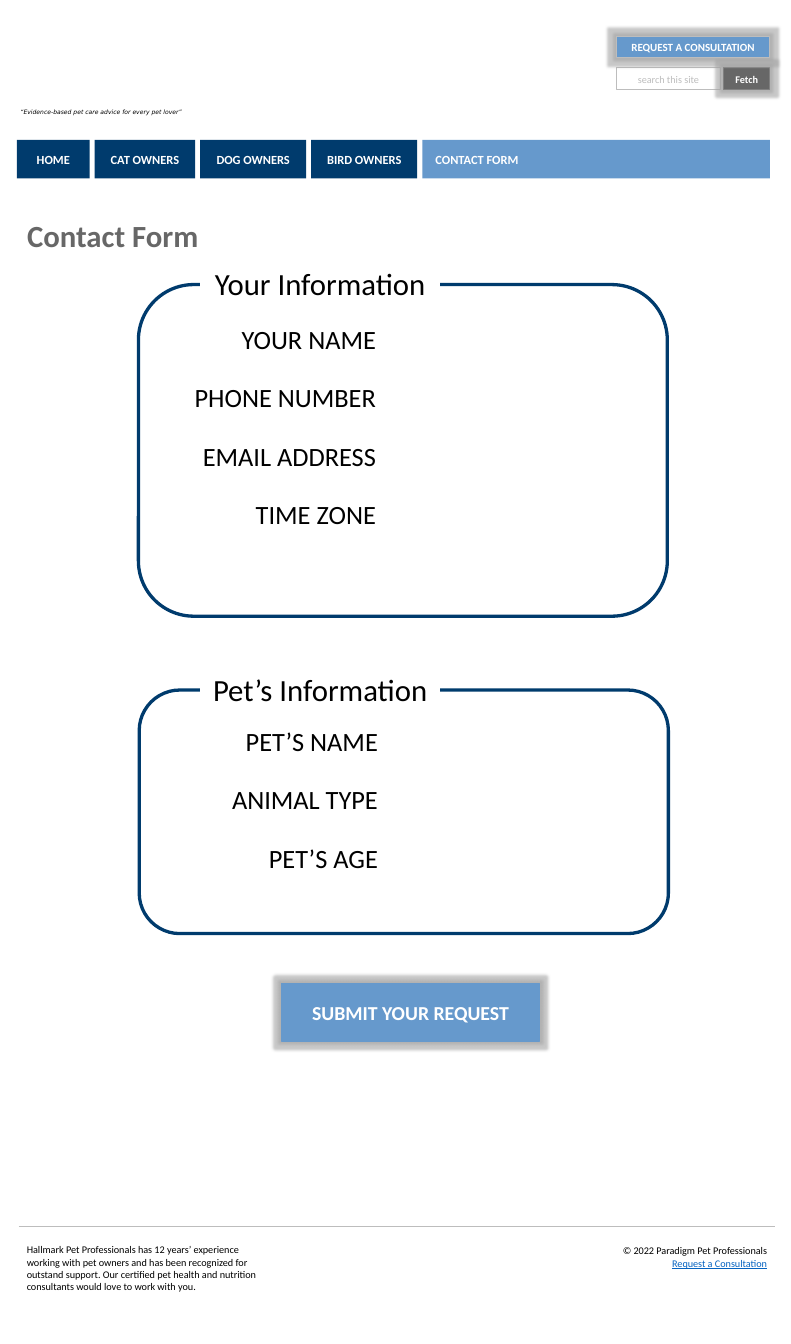
from lxml.etree import SubElement
from pptx import Presentation
from pptx.dml.color import RGBColor
from pptx.enum.shapes import MSO_CONNECTOR, MSO_SHAPE
from pptx.enum.text import MSO_ANCHOR, PP_ALIGN
from pptx.oxml.ns import qn
from pptx.util import Pt

NAVY, BLUE, GREY, SILVER = "003B6D", "6699CC", "676767", "BDBDBD"
WHITE, BLACK, LINK = "FFFFFF", "000000", "0563C1"
LEFT, CENTER, RIGHT = PP_ALIGN.LEFT, PP_ALIGN.CENTER, PP_ALIGN.RIGHT

TAGLINE = "“Evidence-based pet care advice for every pet lover”"
TITLE = "Contact Form"
NAV = [("HOME", 66.2), ("CAT OWNERS", 91.4), ("DOG OWNERS", 96.5), ("BIRD OWNERS", 96.5)]
NAV_CURRENT = ("CONTACT FORM", 316.5)
NAV_LEFT, NAV_TOP, NAV_HEIGHT, NAV_GAP = 15.4, 127.4, 35.2, 4.6

# text, (left, top, width, height), size, fill, line
BUTTONS = [
    ("Fetch", (658.8, 61.9, 41.8, 19.4), 9.3, GREY, "808080"),
    ("REQUEST A CONSULTATION", (560.9, 33.1, 139.7, 19.4), 10, BLUE, SILVER),
    ("SUBMIT YOUR REQUEST", (256.5, 895.9, 234.4, 52.2), 18, BLUE, BLUE),
]
# heading, heading top, frame, table left and top, column widths, field labels
SECTIONS = [
    ("Your Information", 236.8, (126, 259.2, 481.4, 302), (160.8, 291.6), (188.6, 290.9),
     ["YOUR NAME", "PHONE NUMBER", "EMAIL ADDRESS", "TIME ZONE"]),
    ("Pet’s Information", 606.8, (126.7, 628.4, 481.7, 221.8), (160.4, 657.7), (190.8, 298.1),
     ["PET’S NAME", "ANIMAL TYPE", "PET’S AGE"]),
]
ROW_HEIGHT = 53.4
HEADING_LEFT, HEADING_WIDTH, HEADING_HEIGHT = 182.3, 218.2, 42
ABOUT = ("Hallmark Pet Professionals has 12 years’ experience working with pet owners and has "
         "been recognized for outstand support. Our certified pet health and nutrition "
         "consultants would love to work with you.")
COPYRIGHT = "© 2022 Paradigm Pet Professionals\nRequest a Consultation"


def rgb(value):
    return RGBColor.from_string(value)


def write(tf, text, size, color=BLACK, bold=False, align=LEFT, font="Calibri"):
    tf.text = text
    for p in tf.paragraphs:
        p.alignment = align
        for r in p.runs:
            r.font.name, r.font.size, r.font.bold = font, Pt(size), bold
            r.font.color.rgb = rgb(color)


def add_box(s, place, fill=None, line=None, width=1, kind=MSO_SHAPE.RECTANGLE):
    sp = s.shapes.add_shape(kind, *map(Pt, place))
    sp.shadow.inherit = False
    if fill:
        sp.fill.solid()
        sp.fill.fore_color.rgb = rgb(fill)
    else:
        sp.fill.background()
    if line:
        sp.line.color.rgb = rgb(line)
        sp.line.width = Pt(width)
    else:
        sp.line.fill.background()
    sp.text_frame.word_wrap = True
    sp.text_frame.vertical_anchor = MSO_ANCHOR.MIDDLE
    return sp


def add_glow(sp):
    effects = sp._element.spPr.find(qn("a:effectLst"))
    glow = SubElement(effects, qn("a:glow"), rad=str(Pt(5)))
    color = SubElement(glow, qn("a:srgbClr"), val="A5A5A5")
    SubElement(color, qn("a:alpha"), val="60000")


def add_text(s, place, text, size, **style):
    tf = s.shapes.add_textbox(*map(Pt, place)).text_frame
    tf.word_wrap = True
    write(tf, text, size, **style)
    return tf


def add_fields(s, left_top, widths, labels):
    """Add the table that holds a section's labels and empty answers."""
    place = (*left_top, sum(widths), ROW_HEIGHT * len(labels))
    table = s.shapes.add_table(len(labels), len(widths), *map(Pt, place)).table
    table.first_row = table.horz_banding = False
    for column, width in zip(table.columns, widths):
        column.width = Pt(width)
    for row, label in zip(table.rows, labels):
        row.height = Pt(ROW_HEIGHT)
        for cell in row.cells:
            cell.fill.background()
        write(row.cells[0].text_frame, label, 24, align=RIGHT)


def add_section(s, heading, top, frame, left_top, widths, labels):
    add_fields(s, left_top, widths, labels)
    add_box(s, frame, line=NAVY, width=3, kind=MSO_SHAPE.ROUNDED_RECTANGLE)
    sp = add_box(s, (HEADING_LEFT, top, HEADING_WIDTH, HEADING_HEIGHT), WHITE)
    write(sp.text_frame, heading, 28, align=CENTER)


def add_navigation(s):
    left = NAV_LEFT
    for label, width in NAV + [NAV_CURRENT]:
        current = label == NAV_CURRENT[0]
        sp = add_box(s, (left, NAV_TOP, width, NAV_HEIGHT), BLUE if current else NAVY)
        write(sp.text_frame, label, 11.3, WHITE, True, LEFT if current else CENTER)
        if current:
            sp.text_frame.margin_left = Pt(12)
        left += width + NAV_GAP


def add_footer(s):
    rule = s.shapes.add_connector(MSO_CONNECTOR.STRAIGHT, *map(Pt, (17.3, 1116.7, 705.6, 1116.7)))
    rule.line.color.rgb = rgb(SILVER)
    rule.line.width = Pt(1)
    SubElement(rule._element.spPr, qn("a:effectLst"))
    add_text(s, (17.3, 1129, 239, 52.6), ABOUT, 9.3)
    tf = add_text(s, (491.5, 1129, 213.8, 55.4), COPYRIGHT, 9.3, align=RIGHT)
    for p in tf.paragraphs:
        p.line_spacing = 1.07
    link = tf.paragraphs[-1].runs[0].font
    link.color.rgb = rgb(LINK)
    link.underline = True


def main():
    prs = Presentation()
    prs.slide_width, prs.slide_height = Pt(720), Pt(1224)
    s = prs.slides.add_slide(prs.slide_layouts[6])

    search = add_box(s, (560.9, 61.9, 95, 19.4), WHITE, SILVER)
    write(search.text_frame, "search this site", 9.3, SILVER, align=CENTER)
    search.text_frame.paragraphs[0].line_spacing = 1.07
    for text, place, size, fill, line in BUTTONS:
        sp = add_box(s, place, fill, line)
        add_glow(sp)
        write(sp.text_frame, text, size, WHITE, True, CENTER)
        sp.text_frame.paragraphs[0].line_spacing = 1.07 if text == "Fetch" else 1.0

    tagline = add_text(s, (11.5, 95, 170.6, 13.7), TAGLINE, 5.5, font="DejaVu Sans")
    tagline.paragraphs[0].runs[0].font.italic = True
    add_navigation(s)
    add_text(s, (17.7, 193.7, 319.7, 41), TITLE, 28, color=GREY, bold=True)
    for section in SECTIONS:
        add_section(s, *section)
    add_footer(s)
    prs.save("out.pptx")


if __name__ == "__main__":
    main()
